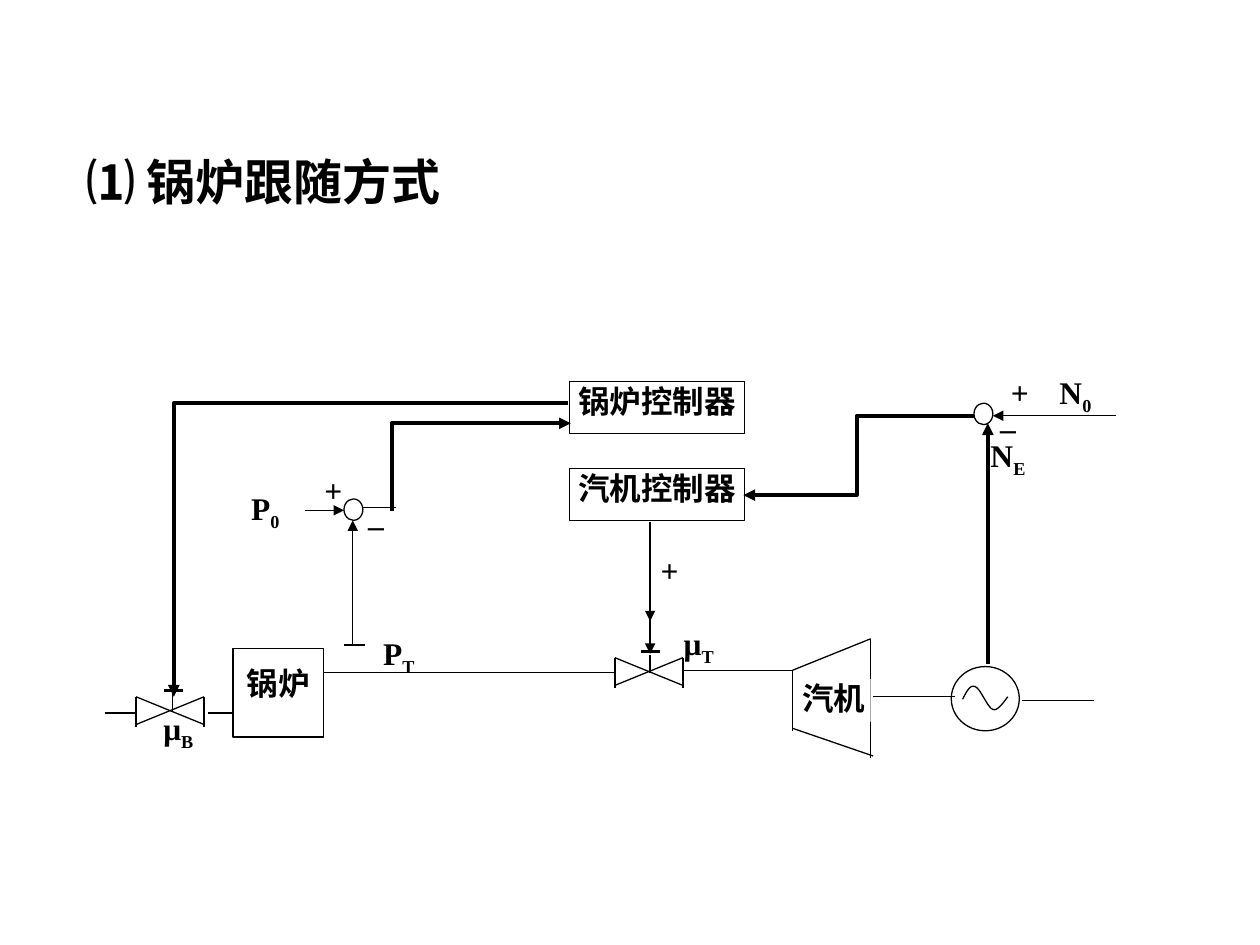
from lxml import etree
from pptx import Presentation
from pptx.dml.color import RGBColor
from pptx.enum.shapes import MSO_CONNECTOR, MSO_SHAPE
from pptx.enum.text import MSO_ANCHOR, MSO_AUTO_SIZE, PP_ALIGN
from pptx.oxml.ns import qn
from pptx.util import Inches, Pt

RECTANGLE = MSO_SHAPE.RECTANGLE
OVAL = MSO_SHAPE.OVAL
JUNCTION = MSO_SHAPE.FLOWCHART_CONNECTOR
STRAIGHT = MSO_CONNECTOR.STRAIGHT
TOP = MSO_ANCHOR.TOP
CENTER = PP_ALIGN.CENTER
LEFT = PP_ALIGN.LEFT
NO_AUTOFIT = MSO_AUTO_SIZE.NONE

COLORS = {"ink": "000000", "paper": "FFFFFF"}
FONT = "Times New Roman"
THIN, CAP, THICK = 0.75, 1.5, 2.25

LABELS = [
    (5.16, 4.37, 0.31, 0.29, [("+", "")]),
    (1.21, 5.63, 0.41, 0.34, [("μ", "B")]),
    (5.34, 4.95, 0.41, 0.34, [("μ", "T")]),
    (2.96, 5.03, 0.41, 0.34, [("P", "T")]),
    (2.83, 3.93, 0.31, 0.29, [("_", "")]),
    (2.49, 3.74, 0.31, 0.29, [("+", "")]),
    (7.78, 3.16, 0.44, 0.68, [("_", ""), ("N", "E")]),
    (7.96, 2.96, 0.27, 0.32, [("+", "")]),
    (8.34, 2.96, 0.39, 0.32, [("N", "0")]),
    (1.9, 3.88, 0.41, 0.34, [("P", "0")]),
]
PIPES = [
    (5.42, 5.32, 6.29, 5.32),
    (2.57, 5.34, 4.88, 5.34),
    (1.65, 5.66, 1.85, 5.66),
    (0.83, 5.66, 1.08, 5.66),
    (8.11, 5.56, 8.68, 5.56),
    (2.88, 4.03, 3.14, 4.03),
    (2.73, 5.12, 2.9, 5.12),
]
TURBINE_EDGES = [
    (6.29, 5.32, 6.29, 5.8),
    (6.91, 5.07, 6.91, 6.02),
    (6.29, 5.32, 6.91, 5.07),
    (6.29, 5.78, 6.93, 6),
]
SIGNALS = [
    (2.8, 5.12, 2.8, 4.13),
    (2.42, 4.05, 2.73, 4.05),
    (5.16, 4.14, 5.16, 4.93),
    (5.16, 4.85, 5.16, 5.19),
    (8.86, 3.3, 7.88, 3.3),
]
CONTROL_PATHS = [
    [(7.73, 3.3), (6.8, 3.3), (6.8, 3.93), (5.9, 3.93)],
    [(4.51, 3.2), (1.38, 3.2), (1.38, 5.53)],
    [(3.11, 4.06), (3.11, 3.36), (4.53, 3.36)],
]
SINE_CURVES = [
    [(7.64, 5.55), (7.67, 5.49), (7.7, 5.43), (7.74, 5.45)],
    [(7.74, 5.45), (7.78, 5.46), (7.84, 5.62), (7.88, 5.63)],
    [(7.88, 5.63), (7.92, 5.65), (7.98, 5.55), (8, 5.53)],
]


def color(name):
    return RGBColor.from_string(COLORS[name])


def apply_format(target, values):
    for name, value in values.items():
        setattr(target, name, value)


def style_line(line, width, arrow=False):
    line.color.rgb = color("ink")
    line.width = Pt(width)
    if arrow:
        outline = line._get_or_add_ln()
        etree.SubElement(outline, qn("a:tailEnd")).set("type", "triangle")


def add_run(paragraph, text, size=18, subscript=False):
    run = paragraph.add_run()
    run.text = text
    apply_format(run.font, {"name": FONT, "size": Pt(size), "bold": True})
    run.font.color.rgb = color("ink")
    if subscript:
        run._r.get_or_add_rPr().set("baseline", "-25000")


def add_box(slide, left, top, width, height, rows=(), kind=RECTANGLE,
            outlined=False, top_inset=0):
    box = slide.shapes.add_shape(
        kind, Inches(left), Inches(top), Inches(width), Inches(height))
    box.shadow.inherit = False
    box.fill.solid()
    box.fill.fore_color.rgb = color("paper")
    if outlined:
        style_line(box.line, THIN)
    else:
        box.line.fill.background()
    frame = box.text_frame
    apply_format(frame, {
        "word_wrap": True, "vertical_anchor": TOP,
        "margin_left": 0, "margin_right": 0,
        "margin_top": Inches(top_inset), "margin_bottom": 0})
    for index, (text, subscript) in enumerate(rows):
        paragraph = frame.add_paragraph() if index else frame.paragraphs[0]
        paragraph.alignment = CENTER
        add_run(paragraph, text)
        if subscript:
            add_run(paragraph, subscript, subscript=True)


def add_line(slide, x1, y1, x2, y2, width=THIN, arrow=False):
    connector = slide.shapes.add_connector(
        STRAIGHT, Inches(x1), Inches(y1), Inches(x2), Inches(y2))
    style_line(connector.line, width, arrow)
    etree.SubElement(connector._element.spPr, qn("a:effectLst"))


def add_path(slide, points, width=THIN, arrow=False):
    start, *rest = [(Inches(x), Inches(y)) for x, y in points]
    builder = slide.shapes.build_freeform(*start)
    builder.add_line_segments(rest, close=False)
    path = builder.convert_to_shape()
    path.shadow.inherit = False
    path.fill.background()
    style_line(path.line, width, arrow)


def bezier_points(controls, steps=10):
    for step in range(steps + 1):
        t = step / steps
        weights = ((1 - t) ** 3, 3 * t * (1 - t) ** 2,
                   3 * t ** 2 * (1 - t), t ** 3)
        yield tuple(sum(weight * point[axis]
                        for weight, point in zip(weights, controls))
                    for axis in (0, 1))


def add_valve(slide, left, top, stem):
    right, bottom = left + 0.54, top + 0.22
    add_line(slide, right, top, left, bottom)
    add_line(slide, left, top, right, bottom)
    for side in (left, right):
        add_line(slide, side, top, side, top + 0.24)
    add_line(slide, stem, top - 0.02, stem, top + 0.12)
    add_line(slide, stem - 0.07, top - 0.05, stem + 0.08, top - 0.05, CAP)


def add_generator(slide):
    add_box(slide, 7.55, 5.29, 0.54, 0.51, kind=JUNCTION, outlined=True)
    add_path(slide, [point for curve in SINE_CURVES
                     for point in bezier_points(curve)])
    add_line(slide, 6.93, 5.53, 7.58, 5.53)


def add_heading(slide, text):
    heading = slide.shapes.title
    apply_format(heading, {
        "left": Inches(0.59), "top": Inches(1.15),
        "width": Inches(4.96), "height": Inches(1.02)})
    apply_format(heading.text_frame, {
        "vertical_anchor": TOP, "auto_size": NO_AUTOFIT, "word_wrap": True})
    paragraph = heading.text_frame.paragraphs[0]
    apply_format(paragraph, {"alignment": LEFT, "space_before": Pt(7)})
    add_run(paragraph, text, 28)


def main():
    presentation = Presentation()
    presentation.slide_width = Inches(10)
    presentation.slide_height = Inches(7.5)
    slide = presentation.slides.add_slide(presentation.slide_layouts[5])
    add_heading(slide, "⑴ 锅炉跟随方式")
    for label in LABELS:
        add_box(slide, *label)
    for top, controller in ((3.03, "锅炉控制器"), (3.72, "汽机控制器")):
        add_box(slide, 4.52, top, 1.39, 0.41, [(controller, "")], outlined=True)
    add_box(slide, 1.85, 5.15, 0.72, 0.7, [("锅炉", "")],
            outlined=True, top_inset=0.12)
    for segment in PIPES + TURBINE_EDGES:
        add_line(slide, *segment)
    add_box(slide, 6.32, 5.39, 0.59, 0.34, [("汽机", "")])
    add_generator(slide)
    add_line(slide, 7.84, 5.27, 7.84, 3.36, THICK, arrow=True)
    for left, top in ((2.73, 3.96), (7.73, 3.2)):
        add_box(slide, left, top, 0.15, 0.17, kind=OVAL, outlined=True)
    for signal in SIGNALS:
        add_line(slide, *signal, arrow=True)
    add_valve(slide, 4.88, 5.22, 5.16)
    add_valve(slide, 1.08, 5.53, 1.37)
    for points in CONTROL_PATHS:
        add_path(slide, points, THICK, arrow=True)
    presentation.save("out.pptx")


if __name__ == "__main__":
    main()
